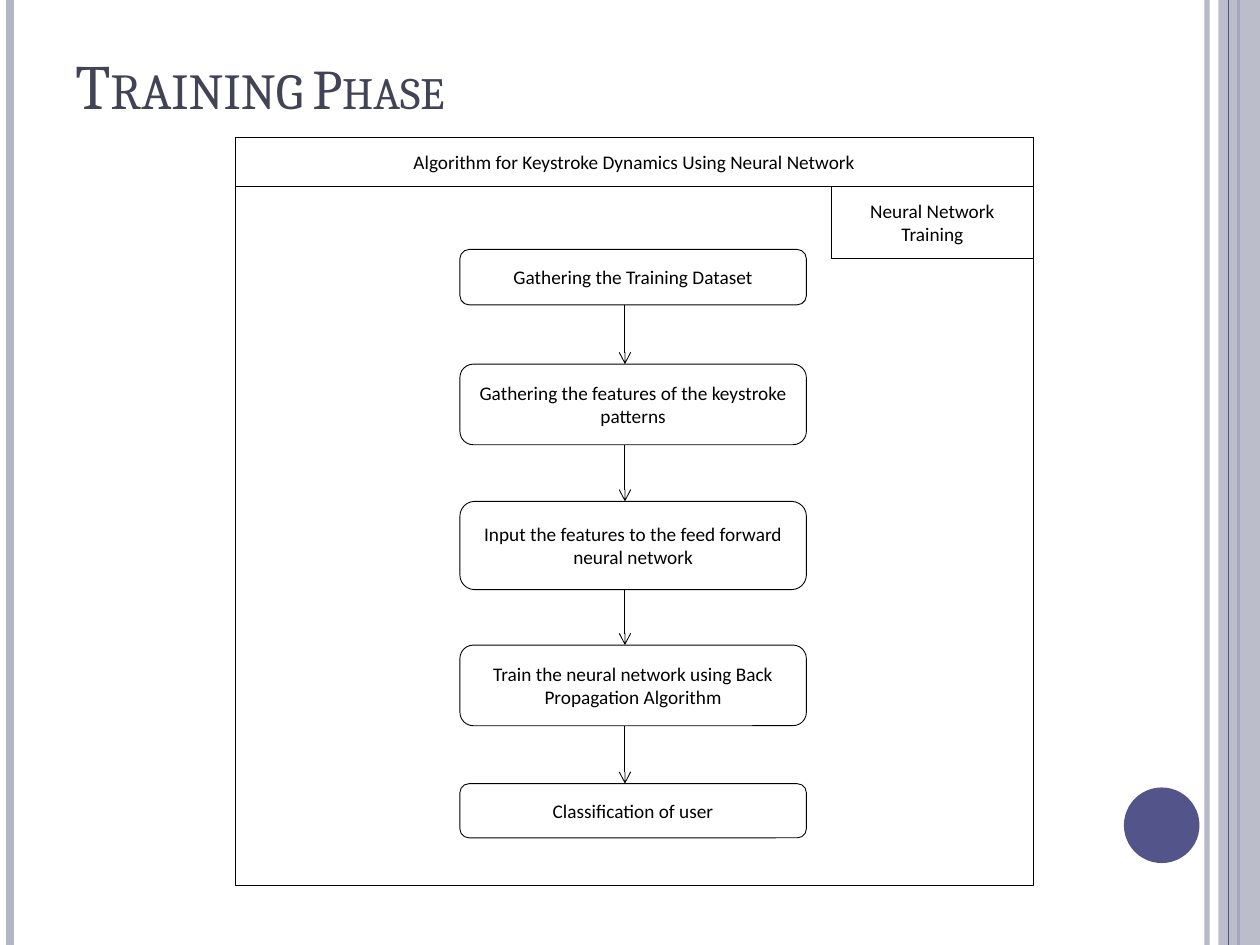
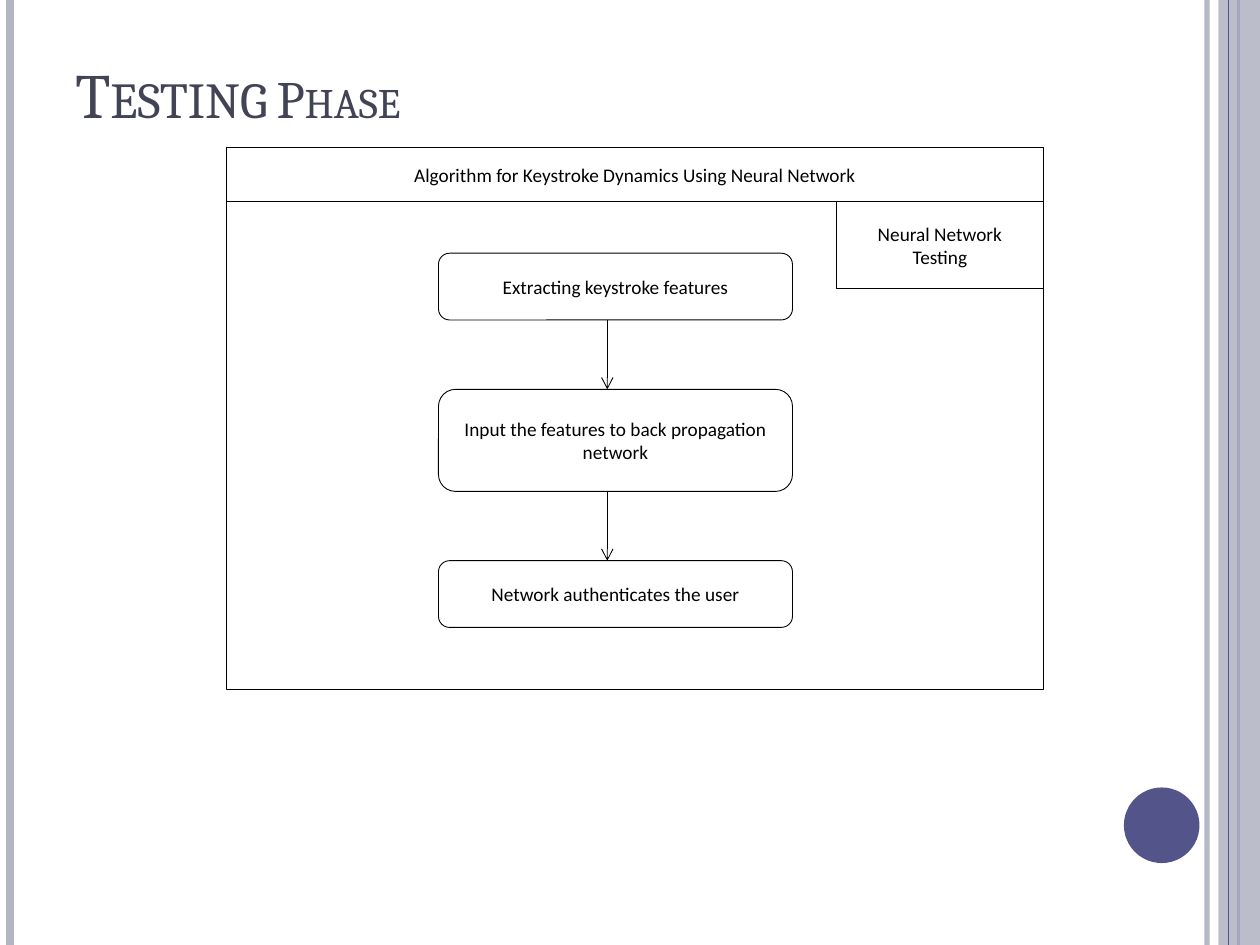
"""Build the training and testing phase slides for keystroke dynamics."""
import pptx
import pptx.dml.color
import pptx.enum.shapes
import pptx.enum.text
import pptx.oxml.ns
import pptx.util
from lxml import etree

Inches = pptx.util.Inches
Pt = pptx.util.Pt
qn = pptx.oxml.ns.qn
rgb = pptx.dml.color.RGBColor.from_string
Shape = pptx.enum.shapes.MSO_SHAPE

INK = "000000"
WHITE = "FFFFFF"
INDIGO = "53548A"
LAVENDER = "B3B4C4"
SLATE = "424456"
PAGE_HEIGHT = 7.5


def add_vertical(slide, x, top, bottom, color, width, opacity=100, arrow=False):
    line = slide.shapes.add_connector(
        pptx.enum.shapes.MSO_CONNECTOR.STRAIGHT,
        Inches(x), Inches(top), Inches(x), Inches(bottom))
    line.line.color.rgb = rgb(color)
    line.line.width = Pt(width)
    properties = line._element.spPr
    if opacity < 100:
        tone = properties.find(".//" + qn("a:srgbClr"))
        etree.SubElement(tone, qn("a:alpha"), val=str(opacity * 1000))
    if arrow:
        etree.SubElement(properties.find(qn("a:ln")), qn("a:tailEnd"), type="arrow")
    etree.SubElement(properties, qn("a:effectLst"))


def add_block(slide, kind, left, top, width, height, fill=None, line=None, text=""):
    block = slide.shapes.add_shape(
        kind, Inches(left), Inches(top), Inches(width), Inches(height))
    block.shadow.inherit = False
    if fill:
        block.fill.solid()
        block.fill.fore_color.rgb = rgb(fill)
    else:
        block.fill.background()
    if line:
        block.line.color.rgb = rgb(line)
        block.line.width = Pt(0.5)
    else:
        block.line.fill.background()
    if text:
        block.text_frame.word_wrap = True
        block.text_frame.vertical_anchor = pptx.enum.text.MSO_ANCHOR.MIDDLE
        paragraph = block.text_frame.paragraphs[0]
        paragraph.text = text
        paragraph.alignment = pptx.enum.text.PP_ALIGN.CENTER
        paragraph.space_after = Pt(10)
        paragraph.font.name = "Calibri"
        paragraph.font.size = Pt(11)
        paragraph.font.color.rgb = rgb(INK)
    return block


phases = [
    {
        "title": [("Training", 36), (" ", 30), ("Phase", 32)],
        "title_height": 0.72,
        "frame": (1.87, 1.09, 6.33, 5.94),
        "header_height": 0.39,
        "tag": ("Neural Network Training", 1.6, 0.57),
        "step_left": 3.65,
        "step_width": 2.75,
        "arrow_x": 4.96,
        "steps": [
            ("Gathering the Training Dataset", 1.98, 0.44),
            ("Gathering the features of the keystroke patterns", 2.89, 0.64),
            ("Input the features to the feed forward neural network", 3.98, 0.7),
            ("Train the neural network using Back Propagation Algorithm", 5.12, 0.64),
            ("Classification of user", 6.22, 0.43),
        ],
    },
    {
        "title": [("Testing", 36), (" Phase", 30)],
        "title_height": 0.79,
        "frame": (1.8, 1.17, 6.48, 4.3),
        "header_height": 0.43,
        "tag": ("Neural Network Testing", 1.64, 0.69),
        "step_left": 3.48,
        "step_width": 2.81,
        "arrow_x": 4.82,
        "steps": [
            ("Extracting keystroke features", 2.01, 0.53),
            ("Input the features to back propagation network", 3.09, 0.81),
            ("Network authenticates the user", 4.45, 0.53),
        ],
    },
]

deck = pptx.Presentation()
deck.slide_width = Inches(10)
deck.slide_height = Inches(PAGE_HEIGHT)

for phase in phases:
    slide = deck.slides.add_slide(deck.slide_layouts[6])

    add_vertical(slide, 9.58, 0, PAGE_HEIGHT, LAVENDER, 3, opacity=93)
    add_vertical(slide, 0.08, 0, PAGE_HEIGHT, LAVENDER, 4.5)
    add_vertical(slide, 9.83, 0, PAGE_HEIGHT, INDIGO, 1.5)
    side_band = add_block(slide, Shape.RECTANGLE, 9.67, 0, 0.33, PAGE_HEIGHT, LAVENDER)
    band_tone = side_band._element.spPr.find(".//" + qn("a:srgbClr"))
    etree.SubElement(band_tone, qn("a:alpha"), val="87000")
    add_vertical(slide, 9.75, 0, PAGE_HEIGHT, INDIGO, 0.75)
    add_block(slide, Shape.OVAL, 8.92, 6.25, 0.6, 0.6, INDIGO)

    title = slide.shapes.add_textbox(
        Inches(0.5), Inches(0.3), Inches(9), Inches(phase["title_height"])).text_frame
    title.word_wrap = True
    title.vertical_anchor = pptx.enum.text.MSO_ANCHOR.BOTTOM
    heading = title.paragraphs[0]
    heading.font.name = "Cambria"
    heading.font.color.rgb = rgb(SLATE)
    for words, size in phase["title"]:
        run = heading.add_run()
        run.text = words
        run.font.size = Pt(size)
        run.font._element.set("cap", "small")

    left, top, width, height = phase["frame"]
    header_height = phase["header_height"]
    add_block(slide, Shape.RECTANGLE, left, top, width, height, line=INK)
    add_block(slide, Shape.RECTANGLE, left, top, width, header_height, WHITE, INK,
              "Algorithm for Keystroke Dynamics Using Neural Network")
    tag, tag_width, tag_height = phase["tag"]
    add_block(slide, Shape.RECTANGLE, left + width - tag_width, top + header_height,
              tag_width, tag_height, WHITE, INK, tag)

    previous_bottom = None
    for step, step_top, step_height in phase["steps"]:
        add_block(slide, Shape.ROUNDED_RECTANGLE, phase["step_left"], step_top,
                  phase["step_width"], step_height, line=INK, text=step)
        if previous_bottom:
            add_vertical(slide, phase["arrow_x"], previous_bottom, step_top,
                         INK, 0.5, arrow=True)
        previous_bottom = step_top + step_height

deck.save("out.pptx")
